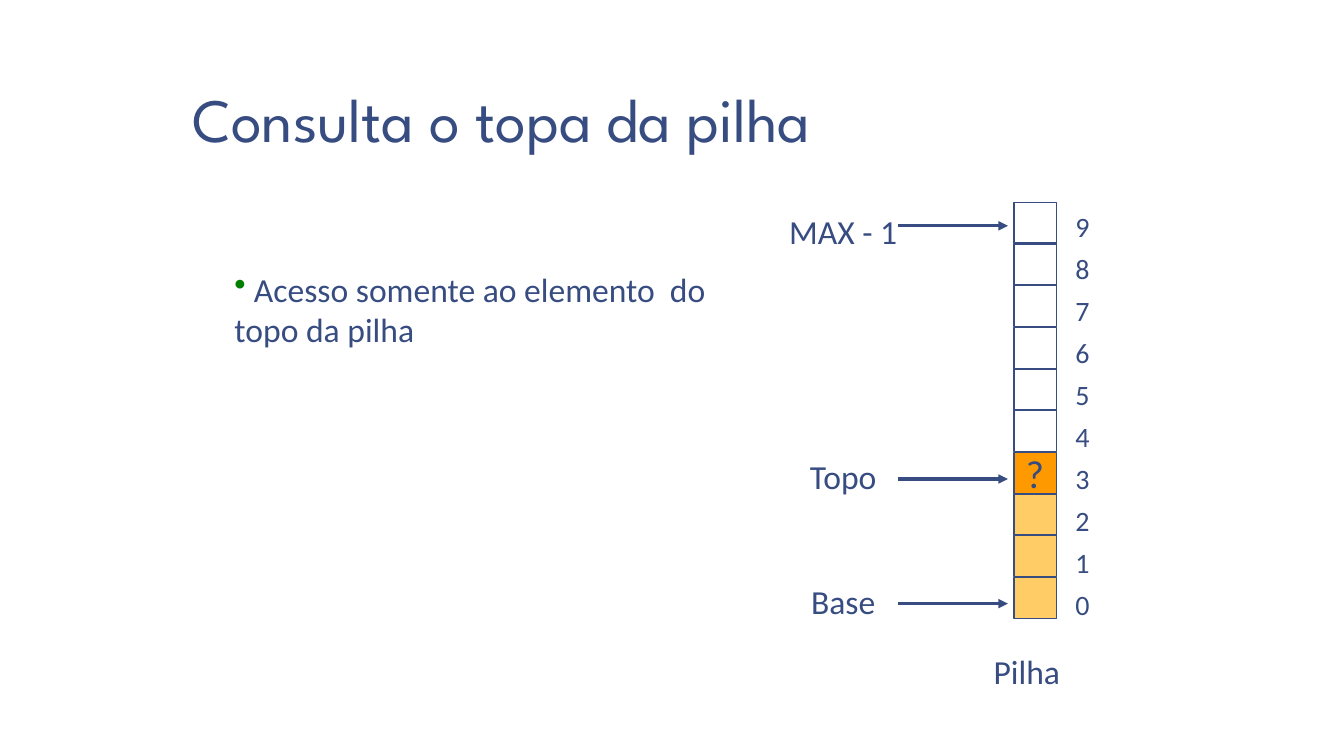
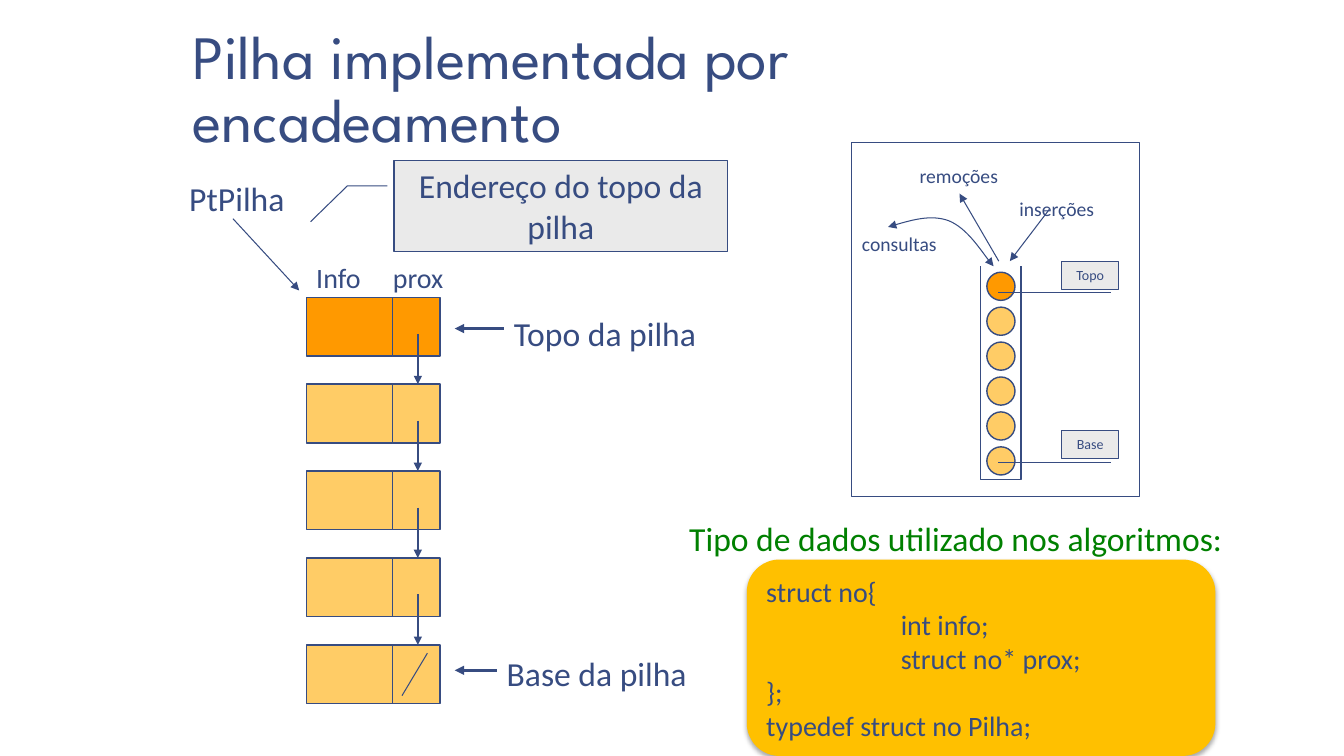
from pptx import Presentation
from pptx.dml.color import RGBColor
from pptx.enum.shapes import MSO_CONNECTOR, MSO_SHAPE
from pptx.enum.text import MSO_ANCHOR, PP_ALIGN
from pptx.oxml import parse_xml
from pptx.oxml.ns import nsdecls, qn
from pptx.oxml.xmlchemy import OxmlElement
from pptx.util import Cm, Pt

RECT, OVAL, ROUNDED = MSO_SHAPE.RECTANGLE, MSO_SHAPE.OVAL, MSO_SHAPE.ROUNDED_RECTANGLE
CALLOUT, BENT_CALLOUT = MSO_SHAPE.LINE_CALLOUT_1, MSO_SHAPE.LINE_CALLOUT_2
STRAIGHT = MSO_CONNECTOR.STRAIGHT
LEFT, CENTER = PP_ALIGN.LEFT, PP_ALIGN.CENTER
TOP, MIDDLE, BOTTOM = MSO_ANCHOR.TOP, MSO_ANCHOR.MIDDLE, MSO_ANCHOR.BOTTOM

COLORS = {
    "ink": "374C81",
    "white": "FFFFFF",
    "item": "FFCC66",
    "top": "FF9900",
    "callout": "EAEAEA",
    "code": "FFC000",
    "green": "008000",
}
RGB = {role: RGBColor.from_string(value) for role, value in COLORS.items()}
TITLE_FONT, BODY_FONT = "League Spartan", "Calibri"


def add_box(slide, box, lines=(), size=24, preset=None, fill="white", border=1.0,
            align=LEFT, anchor=TOP, wrap=False, color="ink", font=BODY_FONT, spacing=None):
    """Add a preset shape, or a plain text box without preset; box is in cm."""
    place = [Cm(length) for length in box]
    if preset is None:
        shape = slide.shapes.add_textbox(*place)
    else:
        shape = slide.shapes.add_shape(preset, *place)
        shape.shadow.inherit = False
        shape.fill.solid()
        shape.fill.fore_color.rgb = RGB[fill]
        if border:
            shape.line.color.rgb = RGB["ink"]
            shape.line.width = Pt(border)
        else:
            shape.line.fill.background()
    frame = shape.text_frame
    frame.word_wrap = wrap
    frame.vertical_anchor = anchor
    for index, line in enumerate(lines):
        paragraph = frame.add_paragraph() if index else frame.paragraphs[0]
        paragraph.alignment = align
        if spacing:
            paragraph.line_spacing = spacing
        run = paragraph.add_run()
        run.text = line
        run.font.name = font
        run.font.size = Pt(size)
        run.font.color.rgb = RGB[color]
    return shape


def add_line(slide, points, width=0.75, arrows=()):
    """Join points given in cm; arrows may hold "headEnd" and "tailEnd"."""
    places = [(Cm(x), Cm(y)) for x, y in points]
    if len(places) == 2:
        line = slide.shapes.add_connector(STRAIGHT, *places[0], *places[1])
    else:
        builder = slide.shapes.build_freeform(*places[0])
        builder.add_line_segments(places[1:], close=False)
        line = builder.convert_to_shape()
        line.fill.background()
    line.line.color.rgb = RGB["ink"]
    line.line.width = Pt(width)
    outline = line.element.spPr.find(qn("a:ln"))
    for end in arrows:
        arrow = OxmlElement(f"a:{end}")
        arrow.set("type", "triangle")
        outline.append(arrow)
    line.element.spPr.append(OxmlElement("a:effectLst"))
    return line


deck = Presentation()
deck.slide_width, deck.slide_height = Cm(33.87), Cm(19.05)
slides = []
for title in ("Consulta o topa da pilha", "Pilha implementada por encadeamento"):
    slide = deck.slides.add_slide(deck.slide_layouts[6])
    heading = add_box(slide, (4.52, 0.2, 25, 3.89), [title], 44, anchor=BOTTOM,
                      wrap=True, font=TITLE_FONT, spacing=0.85).text_frame
    heading.margin_left = heading.margin_right = Cm(0.33)
    heading.margin_top = heading.margin_bottom = Cm(0.18)
    slides.append(slide)
array_slide, linked_slide = slides

# Stack stored in an array
CAPACITY, TOP_INDEX = 10, 3
for index in range(CAPACITY):
    is_top = index == TOP_INDEX
    fill = "top" if is_top else "item" if index < TOP_INDEX else "white"
    row = CAPACITY - 1 - index
    add_box(array_slide, (25.55, 5.1 + 1.05 * row, 1.07, 1.03), ["?"] if is_top else (),
            28, RECT, fill, align=CENTER, anchor=MIDDLE)

for label, label_top, arrow_y in (("MAX - 1", 5.26, 5.69), ("Topo", 11.43, 12.07),
                                  ("Base", 14.58, 15.21)):
    add_box(array_slide, (19.55, label_top, 3.4, 1.12), [label], align=CENTER, anchor=MIDDLE)
    add_line(array_slide, [(22.63, arrow_y), (25.4, arrow_y)], 2.25, ["tailEnd"])
add_box(array_slide, (24.79, 16.28, 2.21, 1.27), ["Pilha"])
add_box(array_slide, (26.85, 4.95, 0.86, 10.95),
        [str(index) for index in reversed(range(CAPACITY))], 20, spacing=1.25)

access_note = add_box(array_slide, (5.66, 6.65, 12.45, 3.33),
                      [" Acesso somente ao elemento  do topo da pilha"], wrap=True)
note_format = access_note.text_frame.paragraphs[0]._p.get_or_add_pPr()
bullet_color = OxmlElement("a:buClr")
bullet_rgb = OxmlElement("a:srgbClr")
bullet_rgb.set("val", COLORS["green"])
bullet_color.append(bullet_rgb)
bullet = OxmlElement("a:buChar")
bullet.set("char", "•")
note_format.extend([bullet_color, bullet])

# Conceptual view of the stack
add_box(linked_slide, (21.46, 3.58, 7.26, 8.94), preset=RECT, border=0.75)
for position in range(6):
    add_box(linked_slide, (24.87, 6.86 + 0.88 * position, 0.71, 0.71), preset=OVAL,
            fill="item" if position else "top")
add_line(linked_slide, [(24.71, 6.71), (24.71, 12.09), (25.73, 12.09), (25.73, 6.71)], 1)

for label, top in (("Base", 10.85), ("Topo", 6.58)):
    callout = add_box(linked_slide, (26.75, top, 1.45, 0.71), [label], 10, CALLOUT,
                      "callout", 0.75, CENTER, wrap=True)
    for index, value in enumerate((1.12, 0.86, 1.12, -1.1)):
        callout.adjustments[index] = value

for label, box in (("inserções", (25.43, 4.85, 2.41, 0.86)),
                   ("remoções", (22.5, 4.01, 3.33, 0.84)),
                   ("consultas", (21.46, 5.72, 2.41, 0.86))):
    add_box(linked_slide, box, [label], 14, align=CENTER)
add_line(linked_slide, [(26.44, 5.28), (25.45, 6.58)], arrows=["tailEnd"])
add_line(linked_slide, [(25.17, 6.58), (24.18, 4.88)], arrows=["tailEnd"])

# Each three points after the first become one Bézier segment
query_curve = add_line(linked_slide, [(22.38, 5.72), (22.91, 5.56), (23.47, 5.41), (23.9, 5.56),
                                      (24.36, 5.74), (24.87, 6.53), (25.04, 6.71)],
                       arrows=["headEnd", "tailEnd"])
segments = query_curve.element.findall(".//" + qn("a:lnTo"))
for start in range(0, len(segments), 3):
    bezier = OxmlElement("a:cubicBezTo")
    segments[start].addprevious(bezier)
    for segment in segments[start:start + 3]:
        bezier.append(segment[0])
        segment.getparent().remove(segment)

# Linked nodes
NODES, NODE_TOP, NODE_STEP = 5, 7.49, 2.19
for node in range(NODES):
    top = NODE_TOP + NODE_STEP * node
    for left, width in ((7.72, 2.17), (9.9, 1.19)):
        add_box(linked_slide, (left, top, width, 1.48), preset=RECT,
                fill="item" if node else "top")
for node in range(NODES - 1):
    top = NODE_TOP + NODE_STEP * node
    add_line(linked_slide, [(10.53, top + 0.92), (10.53, top + NODE_STEP)], 1, ["tailEnd"])
add_line(linked_slide, [(10.77, 16.46), (10.13, 17.53)])

add_box(linked_slide, (4.52, 4.37, 2.95, 1.27), ["PtPilha"])
add_line(linked_slide, [(5.87, 5.51), (7.54, 7.32)], arrows=["tailEnd"])
for field, left, width in (("Info", 7.72, 1.63), ("prox", 9.65, 1.78)):
    add_box(linked_slide, (left, 6.45, width, 1.12), [field], 20)
for label, left, top, width, arrow_y in (("Topo da pilha", 12.7, 7.75, 5.16, 8.28),
                                         ("Base da pilha", 12.52, 16.33, 5.08, 16.89)):
    add_box(linked_slide, (left, top, width, 1.27), [label])
    add_line(linked_slide, [(left, arrow_y), (11.46, arrow_y)], 2.25, ["tailEnd"])

address = add_box(linked_slide, (9.93, 4.04, 8.41, 2.31), ["Endereço do topo da pilha"], 24,
                  BENT_CALLOUT, "callout", 0.75, CENTER, wrap=True)
for index, value in enumerate((0.28, -0.02, 0.28, -0.14, 0.67, -0.25)):
    address.adjustments[index] = value

# Data type
code = add_box(linked_slide, (18.82, 14.1, 11.81, 4.95),
               ["struct no{", "int info;", "struct no* prox;", "};", "typedef struct no Pilha;"],
               20, ROUNDED, "code", 0, wrap=True)
for member in code.text_frame.paragraphs[1:3]:
    member._p.get_or_add_pPr().set("marL", str(Cm(3.39)))
code.element.spPr.find(qn("a:effectLst")).append(parse_xml(
    f'<a:outerShdw {nsdecls("a")} blurRad="{Pt(3.5)}" dist="{Pt(2.2)}" dir="5400000" '
    'rotWithShape="0"><a:srgbClr val="000000"><a:alpha val="32000"/></a:srgbClr></a:outerShdw>'))
add_box(linked_slide, (17.12, 12.93, 14.07, 1.27),
        ["Tipo de dados utilizado nos algoritmos:"], color="green")

deck.save("out.pptx")
